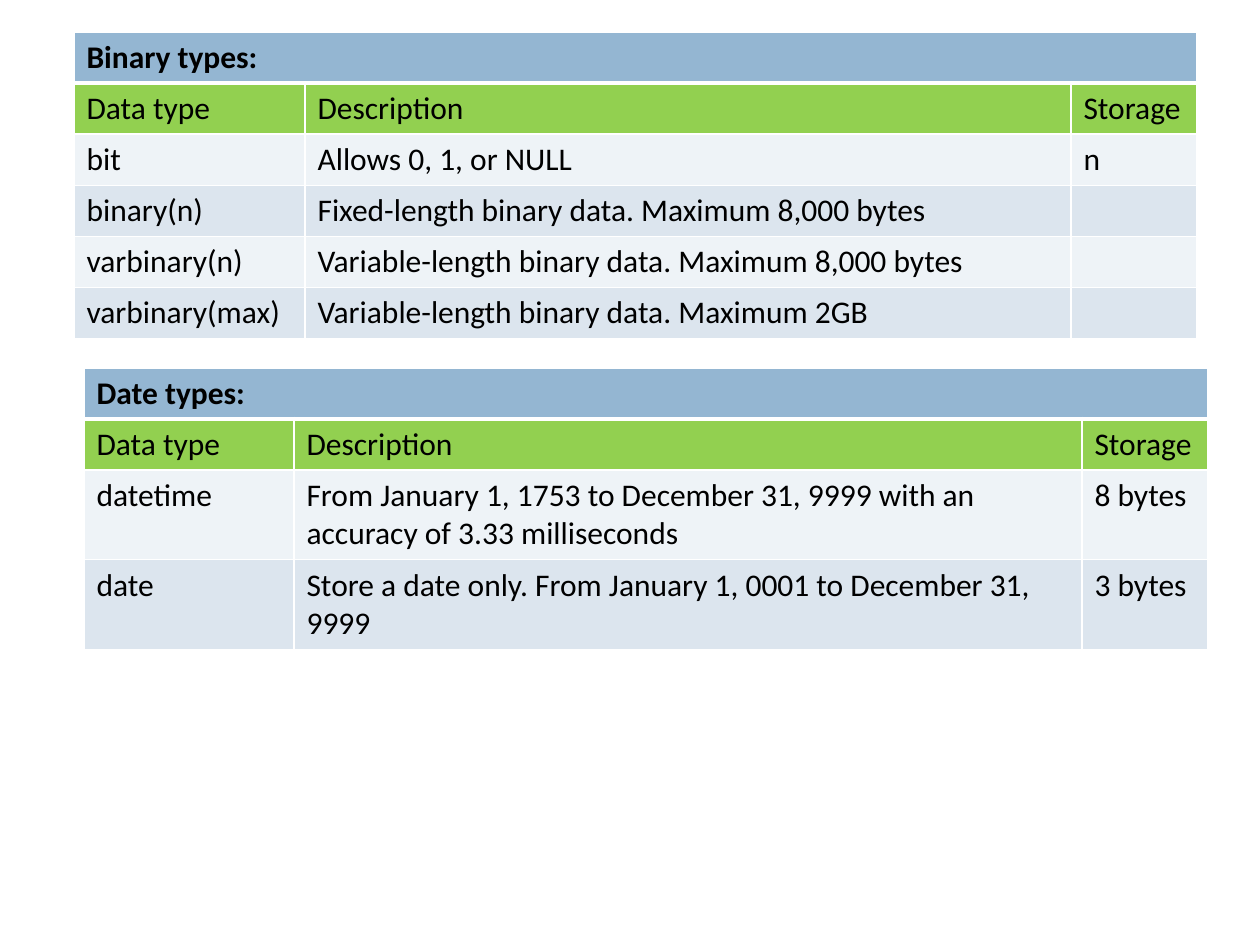
"""Build a slide with two tables of SQL data types."""
from dataclasses import dataclass

import lxml.etree
import pptx
import pptx.dml.color
import pptx.oxml.ns
import pptx.util

SCALE = 914400 // 126
ROW_HEIGHT = 51
COLORS = {
    "title": "94B6D2",
    "header": "92D050",
    "light": "EEF3F7",
    "dark": "DCE5EE",
    "border": "FFFFFF",
    "text": "000000",
}


@dataclass
class TypeTable:
    left: int
    top: int
    height: int
    widths: tuple[int, ...]
    title: str
    rows: list[tuple[str, str, str]]


TABLES = [
    TypeTable(74, 32, 306, (231, 766, 126), "Binary types:", [
        ("bit", "Allows 0, 1, or NULL", "n"),
        ("binary(n)", "Fixed-length binary data. Maximum 8,000 bytes", ""),
        ("varbinary(n)", "Variable-length binary data. Maximum 8,000 bytes", ""),
        ("varbinary(max)", "Variable-length binary data. Maximum 2GB", ""),
    ]),
    TypeTable(84, 368, 278, (210, 788, 126), "Date types:", [
        ("datetime", "From January 1, 1753 to December 31, 9999 with an "
         "accuracy of 3.33 milliseconds", "8 bytes"),
        ("date", "Store a date only. From January 1, 0001 to December 31, 9999",
         "3 bytes"),
    ]),
]


def px(n: int) -> int:
    return pptx.util.Emu(n * SCALE)


def rgb(name: str) -> pptx.dml.color.RGBColor:
    return pptx.dml.color.RGBColor.from_string(COLORS[name])


def set_borders(cell, row: int) -> None:
    tc_pr = cell._tc.get_or_add_tcPr()
    qn = pptx.oxml.ns.qn
    for side in "LRTB":
        thick = (row, side) in {(0, "B"), (1, "T")}
        width = pptx.util.Pt(3 if thick else 1)
        ln = lxml.etree.SubElement(tc_pr, qn(f"a:ln{side}"), w=str(width))
        fill = lxml.etree.SubElement(ln, qn("a:solidFill"))
        lxml.etree.SubElement(fill, qn("a:srgbClr"), val=COLORS["border"])


def fill_cell(cell, text: str, row: int) -> None:
    set_borders(cell, row)
    band = "light" if row % 2 == 0 else "dark"
    cell.fill.solid()
    cell.fill.fore_color.rgb = rgb({0: "title", 1: "header"}.get(row, band))
    p = cell.text_frame.paragraphs[0]
    formats = {"name": "Calibri", "size": pptx.util.Pt(18), "bold": row == 0}
    if text:
        r = p.add_run()
        r.text = text
        for key, value in formats.items():
            setattr(r.font, key, value)
        r.font.color.rgb = rgb("text")


def draw_table(slide, spec: TypeTable) -> None:
    rows = [(spec.title, "", ""), ("Data type", "Description", "Storage"), *spec.rows]
    sp = slide.shapes.add_table(len(rows), len(spec.widths), px(spec.left),
                                px(spec.top), px(sum(spec.widths)), px(spec.height))
    table = sp.table
    for column, width in zip(table.columns, spec.widths):
        column.width = px(width)
    for i, texts in enumerate(rows):
        table.rows[i].height = px(ROW_HEIGHT)
        for j, text in enumerate(texts):
            fill_cell(table.cell(i, j), text, i)
    table.cell(0, 0).merge(table.cell(0, len(spec.widths) - 1))
    sp.height = px(spec.height)


def main() -> None:
    prs = pptx.Presentation()
    prs.slide_width, prs.slide_height = px(1260), px(945)
    slide = prs.slides.add_slide(prs.slide_layouts[6])
    for spec in TABLES:
        draw_table(slide, spec)
    prs.save("out.pptx")


main()
